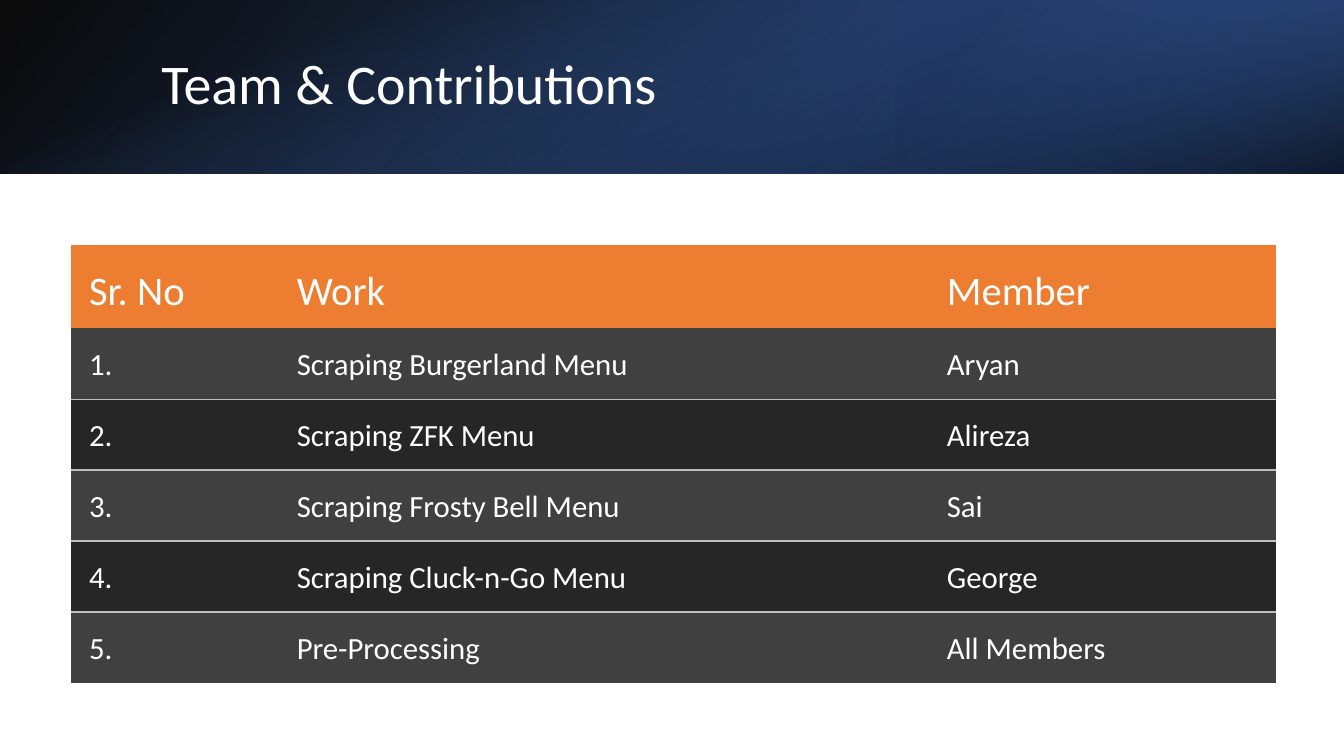
"""Build the team and contributions slide: a gradient banner over a table of tasks."""
from lxml.etree import SubElement
from pptx import Presentation
from pptx.dml.color import RGBColor
from pptx.enum.shapes import MSO_SHAPE
from pptx.enum.text import MSO_ANCHOR, PP_ALIGN
from pptx.oxml.ns import qn
from pptx.util import Pt

COLOURS = {
    "white": "FFFFFF", "black": "000000", "orange": "ED7D31",
    "blue": "4472C4", "mid_blue": "2F5597", "navy": "203864",
    "row_odd": "404040", "row_even": "262626", "rule": "BFBFBF",
}
SLIDE_WIDTH, SLIDE_HEIGHT, BANNER_HEIGHT = 960, 540, 124


def colour(name):
    return RGBColor.from_string(COLOURS[name])


def format_text(text_frame, size, **paragraph_format):
    paragraph = text_frame.paragraphs[0]
    for key, value in paragraph_format.items():
        setattr(paragraph, key, value)
    font = paragraph.runs[0].font
    for key, value in {"name": "Calibri", "size": Pt(size), "bold": False}.items():
        setattr(font, key, value)
    font.color.rgb = colour("white")


presentation = Presentation()
presentation.slide_width = Pt(SLIDE_WIDTH)
presentation.slide_height = Pt(SLIDE_HEIGHT)
slide = presentation.slides.add_slide(presentation.slide_layouts[5])

side_offset = (SLIDE_WIDTH - BANNER_HEIGHT) / 2
banner_layers = [
    {"box": (0, 0, SLIDE_WIDTH, BANNER_HEIGHT), "rotation": 0, "flip": True, "angle": 140,
     "stops": [(0, "black", 96), (1, "mid_blue", 100)]},
    {"box": (SLIDE_WIDTH * 2 / 3, 0, SLIDE_WIDTH / 3, BANNER_HEIGHT), "rotation": 180,
     "flip": True, "angle": 320, "stops": [(0.19, "navy", 68), (1, "blue", 79)]},
    {"box": (side_offset, -side_offset, BANNER_HEIGHT, SLIDE_WIDTH), "rotation": 90,
     "flip": False, "angle": 340, "stops": [(0.23, "blue", 0), (0.99, "black", 74)]},
]
for layer in banner_layers:
    shape = slide.shapes.add_shape(MSO_SHAPE.RECTANGLE, *map(Pt, layer["box"]))
    shape.shadow.inherit = False
    shape.rotation = layer["rotation"]
    if layer["flip"]:
        shape._element.spPr.find(qn("a:xfrm")).set("flipH", "1")
    shape.line.fill.background()
    shape.fill.gradient()
    shape.fill.gradient_angle = 360 - layer["angle"]
    for stop, (position, name, _) in zip(shape.fill.gradient_stops, layer["stops"]):
        stop.position = position
        stop.color.rgb = colour(name)
    stop_colours = shape._element.spPr.iter(qn("a:srgbClr"))
    for stop_colour, (_, _, opacity) in zip(list(stop_colours), layer["stops"]):
        SubElement(stop_colour, qn("a:alpha")).set("val", str(opacity * 1000))

title = slide.shapes.title
slide.shapes._spTree.append(title._element)
title_box = {"left": 108, "top": 27.4, "width": 790.6, "height": 69}
for key, value in title_box.items():
    setattr(title, key, Pt(value))
title.text = "Team & Contributions"
title.text_frame.vertical_anchor = MSO_ANCHOR.MIDDLE
format_text(title.text_frame, 40, alignment=PP_ALIGN.LEFT, line_spacing=0.9)

rows = [
    ("Sr. No", "Work", "Member"),
    ("1.", "Scraping Burgerland Menu", "Aryan"),
    ("2.", "Scraping ZFK Menu", "Alireza"),
    ("3.", "Scraping Frosty Bell Menu", "Sai"),
    ("4.", "Scraping Cluck-n-Go Menu", "George"),
    ("5.", "Pre-Processing", "All Members"),
]
column_widths = [148.4, 464.4, 247.7]
row_heights = [59.4] + [50.7] * 5
table_frame = slide.shapes.add_table(
    len(rows), len(column_widths), Pt(50.6), Pt(175),
    Pt(sum(column_widths)), Pt(sum(row_heights)))
table = table_frame.table
table.first_row = table.horz_banding = False
table._tbl.tblPr.find(qn("a:tableStyleId")).text = "{2D5ABB26-0587-4C30-8999-92F81FD0307C}"
for column, width in zip(table.columns, column_widths):
    column.width = Pt(width)

cell_margins = {"margin_left": 13, "margin_top": 13, "margin_right": 13, "margin_bottom": 6.5}
for row_index, (texts, height) in enumerate(zip(rows, row_heights)):
    table.rows[row_index].height = Pt(height)
    is_header = row_index == 0
    is_odd = row_index % 2 == 1
    fill_name = "orange" if is_header else "row_odd" if is_odd else "row_even"
    for column_index, text in enumerate(texts):
        cell = table.cell(row_index, column_index)
        cell.text = text
        for key, value in cell_margins.items():
            setattr(cell, key, Pt(value))
        cell.vertical_anchor = MSO_ANCHOR.MIDDLE if is_header else MSO_ANCHOR.TOP
        format_text(cell.text_frame, 29 if is_header else 22)
        if 0 < row_index < len(rows) - 1:
            properties = cell._tc.get_or_add_tcPr()
            border = SubElement(properties, qn("a:lnB" if is_odd else "a:lnT"), w=str(Pt(1)))
            border_fill = SubElement(border, qn("a:solidFill"))
            SubElement(border_fill, qn("a:srgbClr"), val=COLOURS["rule"])
        cell.fill.solid()
        cell.fill.fore_color.rgb = colour(fill_name)

presentation.save("out.pptx")
